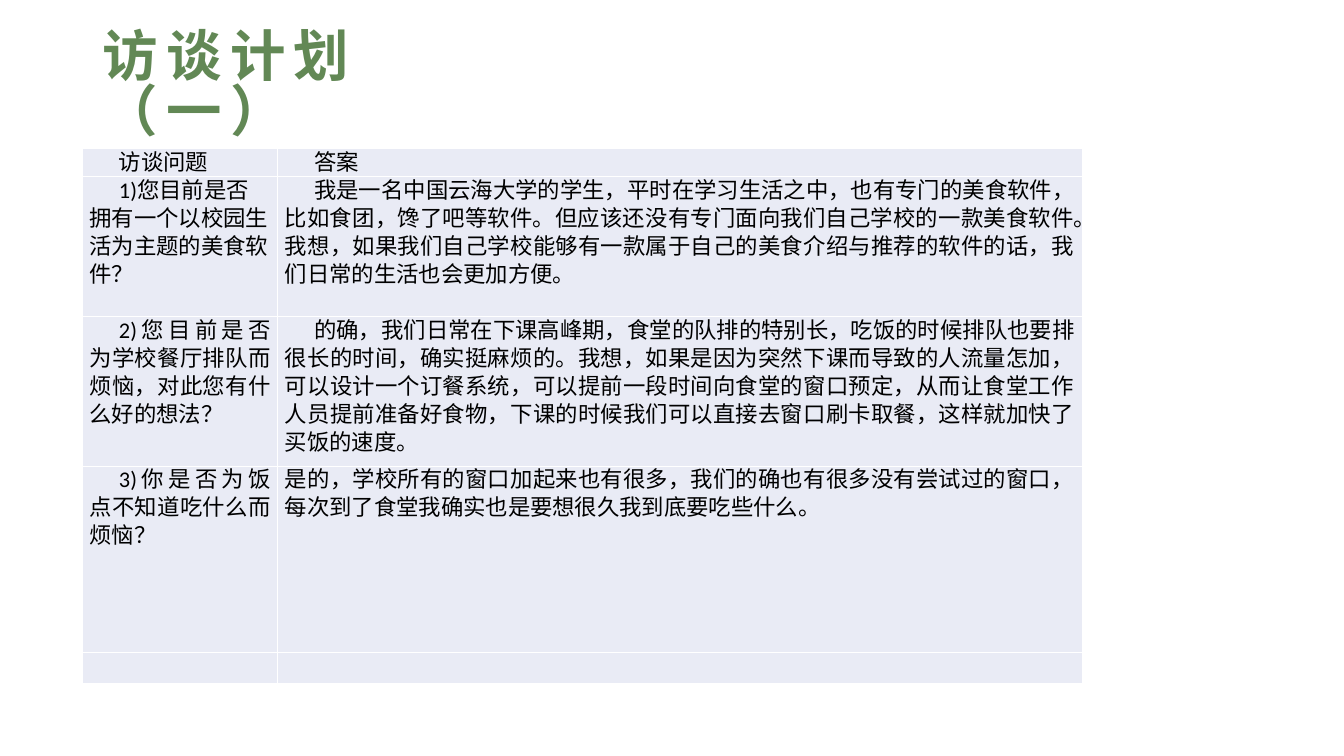
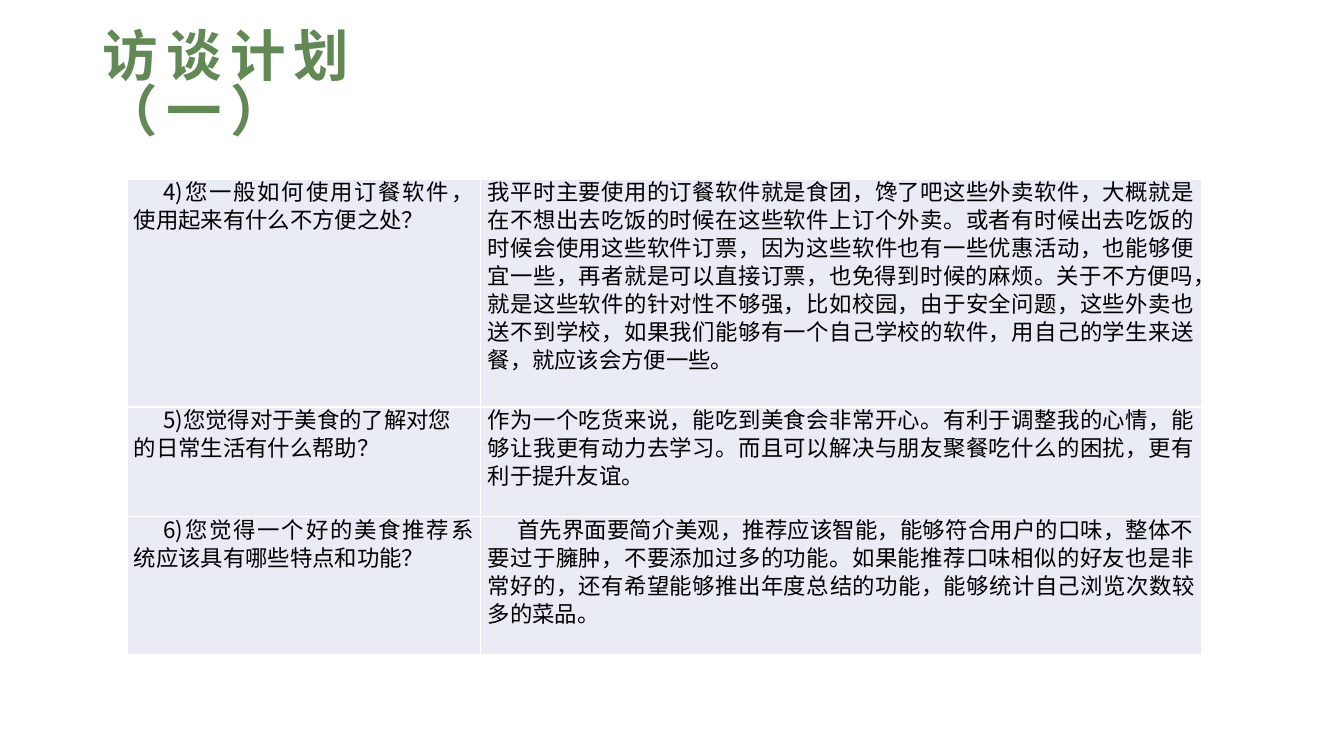
from dataclasses import dataclass

from lxml import etree
from pptx import Presentation
from pptx.dml.color import RGBColor
from pptx.enum.lang import MSO_LANGUAGE_ID
from pptx.enum.text import MSO_ANCHOR, MSO_AUTO_SIZE, PP_ALIGN
from pptx.oxml.ns import qn
from pptx.util import Pt

LEFT, JUSTIFY = PP_ALIGN.LEFT, PP_ALIGN.JUSTIFY
MIDDLE, TOP = MSO_ANCHOR.MIDDLE, MSO_ANCHOR.TOP
NO_AUTOFIT = MSO_AUTO_SIZE.NONE
CHINESE = MSO_LANGUAGE_ID.SIMPLIFIED_CHINESE

TITLE_ONLY = 5
CJK_FONT = "Noto Sans CJK SC"
LATIN_FONT = "Calibri"
TITLE_GREEN = "628855"
CELL_FILL = "E9EBF5"
BLACK = "000000"


@dataclass
class Cell:
    text: str = ""
    indent: int = 21
    align: PP_ALIGN = JUSTIFY


INTERVIEW_1 = [
    [Cell("访谈问题"), Cell("答案")],
    [Cell("1)您目前是否拥有一个以校园生活为主题的美食软件？", align=LEFT),
     Cell("我是一名中国云海大学的学生，平时在学习生活之中，也有专门的美食软件，"
          "比如食团，馋了吧等软件。但应该还没有专门面向我们自己学校的一款美食软件。"
          "我想，如果我们自己学校能够有一款属于自己的美食介绍与推荐的软件的话，"
          "我们日常的生活也会更加方便。")],
    [Cell("2)您目前是否为学校餐厅排队而烦恼，对此您有什么好的想法？"),
     Cell("的确，我们日常在下课高峰期，食堂的队排的特别长，吃饭的时候排队也要排"
          "很长的时间，确实挺麻烦的。我想，如果是因为突然下课而导致的人流量怎加，"
          "可以设计一个订餐系统，可以提前一段时间向食堂的窗口预定，从而让食堂工作"
          "人员提前准备好食物，下课的时候我们可以直接去窗口刷卡取餐，这样就加快了"
          "买饭的速度。")],
    [Cell("3)你是否为饭点不知道吃什么而烦恼？"),
     Cell("是的，学校所有的窗口加起来也有很多，我们的确也有很多没有尝试过的窗口，"
          "每次到了食堂我确实也是要想很久我到底要吃些什么。", indent=0)],
    [Cell(), Cell()],
]

INTERVIEW_2 = [
    [Cell("4)您一般如何使用订餐软件，使用起来有什么不方便之处？"),
     Cell("我平时主要使用的订餐软件就是食团，馋了吧这些外卖软件，大概就是"
          "在不想出去吃饭的时候在这些软件上订个外卖。或者有时候出去吃饭的"
          "时候会使用这些软件订票，因为这些软件也有一些优惠活动，也能够便"
          "宜一些，再者就是可以直接订票，也免得到时候的麻烦。关于不方便吗，"
          "就是这些软件的针对性不够强，比如校园，由于安全问题，这些外卖也"
          "送不到学校，如果我们能够有一个自己学校的软件，用自己的学生来送"
          "餐，就应该会方便一些。", indent=0)],
    [Cell("5)您觉得对于美食的了解对您的日常生活有什么帮助？", align=LEFT),
     Cell("作为一个吃货来说，能吃到美食会非常开心。有利于调整我的心情，能"
          "够让我更有动力去学习。而且可以解决与朋友聚餐吃什么的困扰，更有"
          "利于提升友谊。", indent=0)],
    [Cell("6)您觉得一个好的美食推荐系统应该具有哪些特点和功能？"),
     Cell("首先界面要简介美观，推荐应该智能，能够符合用户的口味，整体不"
          "要过于臃肿，不要添加过多的功能。如果能推荐口味相似的好友也是非"
          "常好的，还有希望能够推出年度总结的功能，能够统计自己浏览次数较"
          "多的菜品。")],
]


def rgb(color):
    return RGBColor.from_string(color)


def format_run(r, font, size, color, bold=False):
    r.font.size = Pt(size)
    r.font.bold = bold
    r.font.color.rgb = rgb(color)
    r.font.name = font
    r.font.language_id = CHINESE
    etree.SubElement(r._r.get_or_add_rPr(), qn("a:ea"), typeface=CJK_FONT)


def add_titled_slide(prs, title):
    slide = prs.slides.add_slide(prs.slide_layouts[TITLE_ONLY])
    sp = slide.shapes.title
    sp.left, sp.top, sp.width, sp.height = Pt(66), Pt(29), Pt(293), Pt(67)
    tf = sp.text_frame
    tf.text = title
    tf.word_wrap = True
    tf.auto_size = NO_AUTOFIT
    tf.vertical_anchor = MIDDLE
    p = tf.paragraphs[0]
    p.alignment = LEFT
    p.line_spacing = 0.82
    r = p.runs[0]
    format_run(r, CJK_FONT, 39.6, TITLE_GREEN, bold=True)
    r._r.get_or_add_rPr().set("spc", "600")
    return slide


def fill_cell(cell, content, font):
    cell.fill.solid()
    cell.fill.fore_color.rgb = rgb(CELL_FILL)
    cell.margin_left = cell.margin_right = Pt(5)
    cell.margin_top = cell.margin_bottom = 0
    cell.vertical_anchor = TOP
    p = cell.text_frame.paragraphs[0]
    p.text = content.text
    p.alignment = content.align
    p.line_spacing = Pt(20)
    p._p.get_or_add_pPr().set("indent", str(Pt(content.indent)))
    for r in p.runs:
        format_run(r, font, 16, BLACK)


def add_interview_table(slide, left, top, widths, heights, rows, font, header):
    """Add a table; its style draws the white rules, thicker under a header."""
    table = slide.shapes.add_table(
        len(heights), len(widths), Pt(left), Pt(top),
        Pt(sum(widths)), Pt(sum(heights))).table
    table.first_row = header
    table.horz_banding = False
    for column, width in zip(table.columns, widths):
        column.width = Pt(width)
    for row, height, contents in zip(table.rows, heights, rows):
        row.height = Pt(height)
        for cell, content in zip(row.cells, contents):
            fill_cell(cell, content, font)


def main():
    prs = Presentation()
    prs.slide_width, prs.slide_height = Pt(960), Pt(540)

    slide = add_titled_slide(prs, "访谈计划（一）")
    add_interview_table(slide, 59, 106, [139.5, 574.5], [20, 100, 107, 133, 20],
                        INTERVIEW_1, LATIN_FONT, header=True)

    slide = add_titled_slide(prs, "访谈计划（一）")
    add_interview_table(slide, 90.7, 128, [252.7, 514.8], [162.7, 78.5, 98.6],
                        INTERVIEW_2, CJK_FONT, header=False)

    prs.save("out.pptx")


if __name__ == "__main__":
    main()
